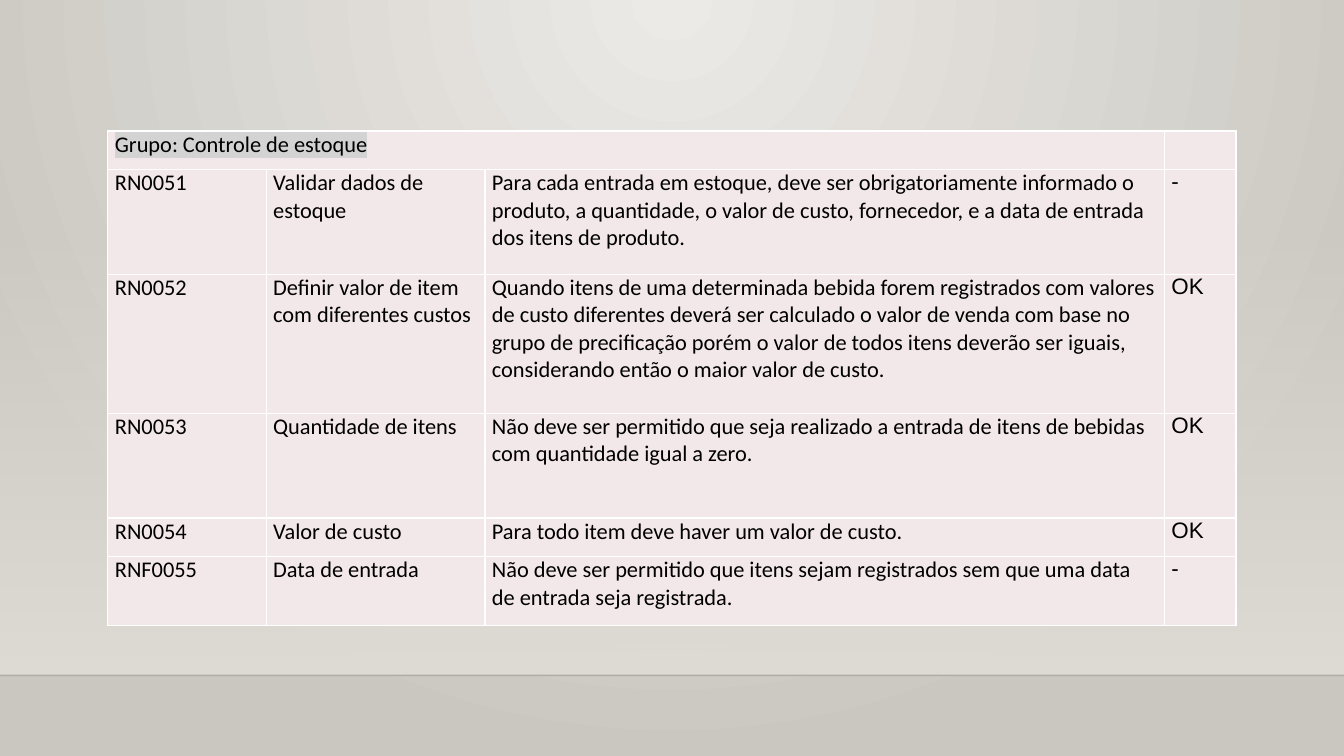
from dataclasses import dataclass
from typing import NamedTuple

from pptx import Presentation
from pptx.dml.color import RGBColor
from pptx.enum.shapes import MSO_CONNECTOR, MSO_SHAPE
from pptx.oxml import parse_xml
from pptx.oxml.ns import nsdecls
from pptx.util import Inches, Pt


@dataclass(frozen=True)
class Theme:
    glow: str = "ECEAE7"
    stone: str = "CAC7C1"
    wall: str = "DFDBD5"
    edge: str = "000001"
    cell: str = "F3E8E9"
    border: str = "FFFFFF"
    text: str = "000000"
    highlight: str = "D3D3D3"
    text_size: float = 16
    line_width: float = 1
    text_font: str = "Calibri"
    status_font: str = "Arial"


class Rule(NamedTuple):
    code: str
    name: str
    description: str
    status: str
    height: float


THEME = Theme()
SLIDE_WIDTH, SLIDE_HEIGHT = 13.33, 7.5
WALL_TOP, FLOOR_TOP = 2.21, 6.7
TABLE_LEFT, TABLE_TOP = 1.07, 1.3
HEADER_HEIGHT = 0.38
COLUMN_WIDTHS = (1.57, 2.17, 6.74, 0.71)
GROUP = "Grupo: Controle de estoque"
RULES = (
    Rule("RN0051", "Validar dados de estoque",
         "Para cada entrada em estoque, deve ser obrigatoriamente informado o produto, "
         "a quantidade, o valor de custo, fornecedor, e a data de entrada dos itens de produto.",
         "-", 1.04),
    Rule("RN0052", "Definir valor de item com diferentes custos",
         "Quando itens de uma determinada bebida forem registrados com valores de custo "
         "diferentes deverá ser calculado o valor de venda com base no grupo de precificação "
         "porém o valor de todos itens deverão ser iguais, considerando então o maior valor de custo.",
         "OK", 1.38),
    Rule("RN0053", "Quantidade de itens",
         "Não deve ser permitido que seja realizado a entrada de itens de bebidas "
         "com quantidade igual a zero.", "OK", 1.04),
    Rule("RN0054", "Valor de custo", "Para todo item deve haver um valor de custo.", "OK", 0.38),
    Rule("RNF0055", "Data de entrada",
         "Não deve ser permitido que itens sejam registrados sem que uma data de entrada "
         "seja registrada.", "-", 0.69),
)


def gradient(start: str, end: str, direction: str, start_alpha: int = 100):
    """Build a two-stop gradient fill."""
    return parse_xml(
        f'<a:gradFill {nsdecls("a")} rotWithShape="1"><a:gsLst>'
        f'<a:gs pos="0"><a:srgbClr val="{start}"><a:alpha val="{start_alpha * 1000}"/></a:srgbClr></a:gs>'
        f'<a:gs pos="100000"><a:srgbClr val="{end}"/></a:gs></a:gsLst>{direction}</a:gradFill>')


def replace_fill(holder, fill) -> None:
    holder.replace(holder.find(fill.tag), fill)


def draw_backdrop(page) -> None:
    # Round glow from the top centre
    page.background.fill.gradient()
    replace_fill(page.background._cSld.bg.bgPr, gradient(
        THEME.glow, THEME.stone,
        '<a:path path="circle"><a:fillToRect l="43000" t="0" r="43000" b="100000"/></a:path>'))

    # Wall that fades in towards the floor
    wall = page.shapes.add_shape(MSO_SHAPE.RECTANGLE, 0, Inches(WALL_TOP),
                                 Inches(SLIDE_WIDTH), Inches(FLOOR_TOP - WALL_TOP))
    wall.shadow.inherit = False
    wall.line.fill.background()
    wall.fill.gradient()
    replace_fill(wall._element.spPr, gradient(
        THEME.wall, THEME.wall, '<a:lin ang="5400000" scaled="0"/>', start_alpha=0))

    # Floor edge
    edge = page.shapes.add_connector(MSO_CONNECTOR.STRAIGHT, 0, Inches(FLOOR_TOP),
                                     Inches(SLIDE_WIDTH), Inches(FLOOR_TOP))
    edge.line.width = Pt(THEME.line_width)
    edge.line.color.rgb = RGBColor.from_string(THEME.edge)
    edge.line._ln.solidFill[0].append(parse_xml(f'<a:alpha {nsdecls("a")} val="20000"/>'))
    edge._element.spPr.append(parse_xml(f'<a:effectLst {nsdecls("a")}/>'))


def format_cell(cell, text: str, font_name: str, highlighted: bool = False) -> None:
    margins = {"margin_left": 0.07, "margin_right": 0.07, "margin_top": 0, "margin_bottom": 0}
    for name, value in margins.items():
        setattr(cell, name, Inches(value))

    # Borders come before the fill
    properties = cell._tc.get_or_add_tcPr()
    for side in ("lnL", "lnR", "lnT", "lnB"):
        properties.append(parse_xml(
            f'<a:{side} {nsdecls("a")} w="{Pt(THEME.line_width)}"><a:solidFill>'
            f'<a:srgbClr val="{THEME.border}"/></a:solidFill></a:{side}>'))
    cell.fill.solid()
    cell.fill.fore_color.rgb = RGBColor.from_string(THEME.cell)

    para = cell.text_frame.paragraphs[0]
    if not text:
        para.font.size = Pt(THEME.text_size)
        return
    span = para.add_run()
    span.text = text
    for name, value in {"size": Pt(THEME.text_size), "name": font_name}.items():
        setattr(span.font, name, value)
    span.font.color.rgb = RGBColor.from_string(THEME.text)
    if highlighted:
        span.font._element.solidFill.addnext(parse_xml(
            f'<a:highlight {nsdecls("a")}><a:srgbClr val="{THEME.highlight}"/></a:highlight>'))


def draw_rules(page) -> None:
    heights = (HEADER_HEIGHT, *(rule.height for rule in RULES))
    table = page.shapes.add_table(
        len(heights), len(COLUMN_WIDTHS), Inches(TABLE_LEFT), Inches(TABLE_TOP),
        Inches(sum(COLUMN_WIDTHS)), Inches(sum(heights))).table
    table.first_row = table.horz_banding = False
    for column, width in zip(table.columns, COLUMN_WIDTHS):
        column.width = Inches(width)
    for row, height in zip(table.rows, heights):
        row.height = Inches(height)

    # Group heading spans all but the status column
    table.cell(0, 0).merge(table.cell(0, 2))
    contents = ((GROUP, "", "", ""), *(rule[:4] for rule in RULES))
    fonts = (THEME.text_font,) * 3 + (THEME.status_font,)
    for row_index, texts in enumerate(contents):
        for column_index, (text, font_name) in enumerate(zip(texts, fonts)):
            format_cell(table.cell(row_index, column_index), text, font_name,
                        highlighted=row_index == 0)


deck = Presentation()
deck.slide_width, deck.slide_height = Inches(SLIDE_WIDTH), Inches(SLIDE_HEIGHT)
page = deck.slides.add_slide(deck.slide_layouts[6])
draw_backdrop(page)
draw_rules(page)
deck.save("out.pptx")
